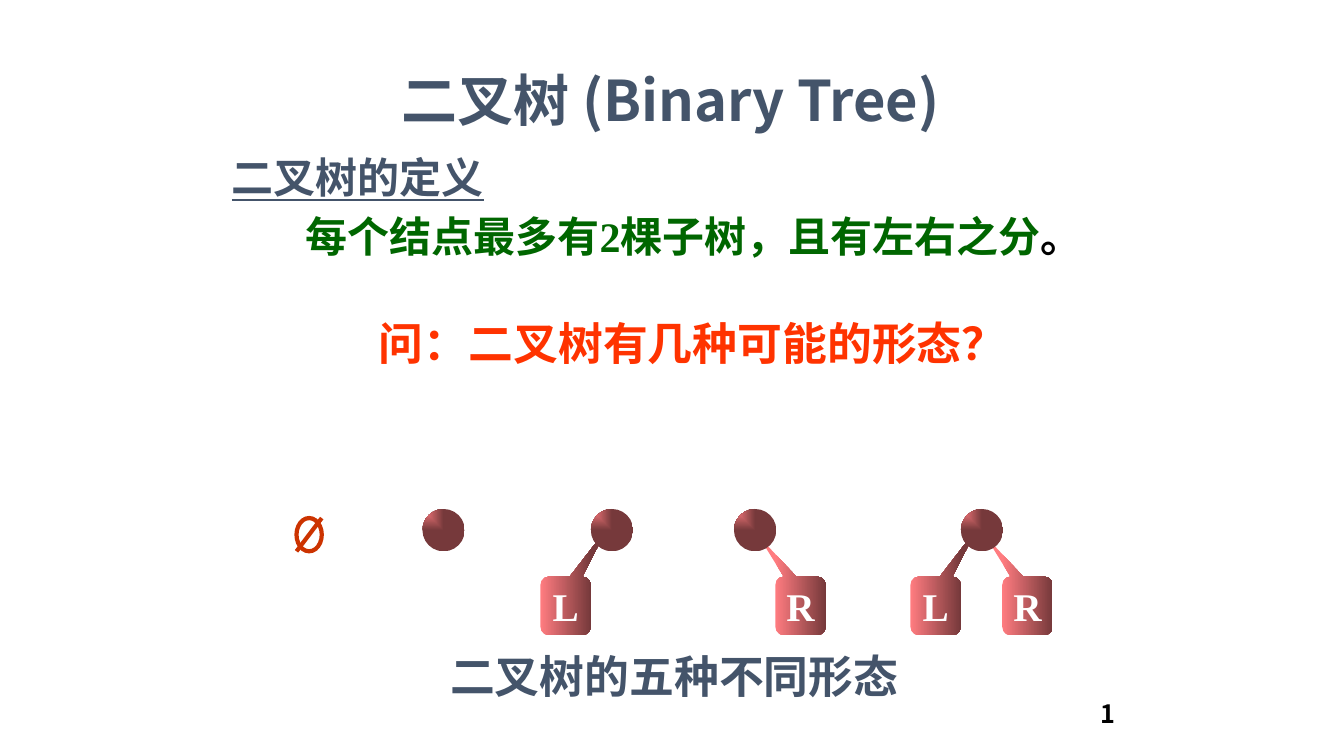
"""Build the slide that defines a binary tree and shows its five forms."""
import dataclasses
import typing

import lxml.etree
import pptx
import pptx.dml.color
import pptx.enum.shapes
import pptx.enum.text
import pptx.oxml.ns
import pptx.util

KIND = pptx.enum.shapes.MSO_SHAPE
ALIGN = pptx.enum.text.PP_ALIGN
ANCHOR = pptx.enum.text.MSO_ANCHOR
FIT = pptx.enum.text.MSO_AUTO_SIZE
qn = pptx.oxml.ns.qn


@dataclasses.dataclass(frozen=True)
class Theme:
    """Fonts, colours and type sizes of the slide."""
    sans: str = "Noto Sans CJK JP"
    serif: str = "Times New Roman"
    plain: str = "Arial"
    slate: str = "44546A"
    green: str = "006600"
    red: str = "FF3300"
    rust: str = "CC3300"
    black: str = "000000"
    white: str = "FFFFFF"
    light: str = "FF7C80"
    dark: str = "76393B"
    head: int = 40
    large: int = 32
    body: int = 30
    label: int = 28
    small: int = 18


@dataclasses.dataclass(frozen=True)
class Box:
    """A place on the slide in percent of its width and height."""
    x: float
    y: float
    w: float
    h: float


class Note(typing.NamedTuple):
    """A free line of text."""
    text: str
    box: Box
    size: int
    font: str
    color: str
    align: typing.Any
    anchor: typing.Any


class Child(typing.NamedTuple):
    """A subtree label: shift from its node and callout tip."""
    text: str
    dx: float
    tip: tuple[float, float]


class Form(typing.NamedTuple):
    """A tree form: left side of its node and its subtrees."""
    x: float
    kids: tuple[Child, ...]


T = Theme()
WIDE, HIGH = pptx.util.Inches(13.33), pptx.util.Inches(7.5)
TITLE = Box(15.75, 6.4, 67.52, 14.67)
BODY = Box(14.25, 20.13, 71.49, 37.33)
EMPTY = Box(22.06, 68.53, 1.88, 4.4)
NODE_Y, NODE_W, NODE_H = 67.33, 3.15, 5.6
KID_Y, KID_W, KID_H = 76.27, 3.75, 7.73

LEFT = Child("L", -3.75, (0.82, -1.32))
RIGHT = Child("R", 3.08, (-0.83, -1.19))
FORMS = (
    Form(31.43, ()),
    Form(43.96, (LEFT,)),
    Form(54.61, (RIGHT,)),
    Form(71.49, (LEFT, RIGHT)),
)
NOTES = (
    Note("问：二叉树有几种可能的形态？", Box(27.46, 41.07, 50.86, 8.53),
         T.large, T.plain, T.red, ALIGN.LEFT, ANCHOR.TOP),
    Note("二叉树的五种不同形态", Box(23.93, 85.2, 52.51, 8.53),
         T.large, T.serif, T.slate, ALIGN.CENTER, ANCHOR.TOP),
    Note("1", Box(66.24, 90.4, 17.48, 6.67),
         T.small, T.sans, T.black, ALIGN.RIGHT, ANCHOR.BOTTOM),
)


def rgb(code: str) -> pptx.dml.color.RGBColor:
    """Turn a hex code into a colour."""
    return pptx.dml.color.RGBColor.from_string(code)


def place(box: Box) -> tuple[int, int, int, int]:
    """Turn a box into slide lengths."""
    return (round(box.x * WIDE / 100), round(box.y * HIGH / 100),
            round(box.w * WIDE / 100), round(box.h * HIGH / 100))


def style(run: typing.Any, size: int, font: str, color: str) -> None:
    """Format one bold run."""
    run.font.size = pptx.util.Pt(size)
    run.font.bold = True
    run.font.color.rgb = rgb(color)
    run.font.name = font
    east = lxml.etree.SubElement(run.font._element, qn("a:ea"))
    east.set("typeface", T.sans)


def indent(para: typing.Any, left: float, first: float) -> None:
    """Set indents in inches and switch the bullet off."""
    props = para._p.get_or_add_pPr()
    props.set("marL", str(pptx.util.Inches(left)))
    props.set("indent", str(pptx.util.Inches(first)))
    lxml.etree.SubElement(props, qn("a:buNone"))
    para.line_spacing = 0.9


def move(holder: typing.Any, box: Box) -> typing.Any:
    """Move a placeholder and return its text frame."""
    holder.left, holder.top, holder.width, holder.height = place(box)
    holder.text_frame.auto_size = FIT.NONE
    return holder.text_frame


def write(slide: typing.Any) -> None:
    """Fill the title and body placeholders."""
    frame = move(slide.shapes.title, TITLE)
    frame.text = "二叉树 (Binary Tree)"
    frame.vertical_anchor = ANCHOR.MIDDLE
    para = frame.paragraphs[0]
    indent(para, 0.1, 0)
    para.alignment = ALIGN.CENTER
    style(para.runs[0], T.head, T.sans, T.slate)

    frame = move(slide.placeholders[1], BODY)
    frame.text = "\t二叉树的定义\n每个结点最多有2棵子树，且有左右之分"
    top, rule = frame.paragraphs
    indent(top, 0.3, -0.3)
    top.space_before = pptx.util.Pt(0)
    indent(rule, 1.03, 0)
    rule.space_before = pptx.util.Pt(10)
    style(top.runs[0], T.body, T.serif, T.slate)
    top.runs[0].font.underline = True
    stop = rule.add_run()
    stop.text = "。"
    for run, color in zip(rule.runs, (T.green, T.black)):
        style(run, T.body, T.serif, color)


def jot(slide: typing.Any, note: Note) -> None:
    """Add a free line of text."""
    frame = slide.shapes.add_textbox(*place(note.box)).text_frame
    frame.word_wrap = True
    frame.vertical_anchor = note.anchor
    frame.text = note.text
    frame.paragraphs[0].alignment = note.align
    style(frame.paragraphs[0].runs[0], note.size, note.font, note.color)


def shade(slide: typing.Any, kind: typing.Any, box: Box) -> typing.Any:
    """Add a preset shape with the light to dark blend."""
    shape = slide.shapes.add_shape(kind, *place(box))
    shape.shadow.inherit = False
    shape.line.fill.background()
    shape.fill.gradient()
    shape.fill.gradient_angle = 0
    for stop, color, spot in zip(shape.fill.gradient_stops,
                                 (T.light, T.dark), (0, 1)):
        stop.color.rgb, stop.position = rgb(color), spot
    return shape


def hang(slide: typing.Any, form: Form, kid: Child) -> None:
    """Add a subtree callout pointing at its node."""
    shape = shade(slide, KIND.ROUNDED_RECTANGULAR_CALLOUT,
                  Box(form.x + kid.dx, KID_Y, KID_W, KID_H))
    shape.adjustments[0], shape.adjustments[1] = kid.tip
    frame = shape.text_frame
    frame.margin_left = frame.margin_right = 0
    frame.margin_top = frame.margin_bottom = 0
    frame.word_wrap = False
    frame.vertical_anchor = ANCHOR.MIDDLE
    frame.text = kid.text
    frame.paragraphs[0].alignment = ALIGN.CENTER
    style(frame.paragraphs[0].runs[0], T.label, T.serif, T.white)


def grow(slide: typing.Any, form: Form) -> None:
    """Draw one tree form, its node in front."""
    for kid in form.kids:
        hang(slide, form, kid)
    node = shade(slide, KIND.OVAL, Box(form.x, NODE_Y, NODE_W, NODE_H))
    blend = node._element.spPr.find(qn("a:gradFill"))
    blend.remove(blend.find(qn("a:lin")))
    glow = lxml.etree.SubElement(blend, qn("a:path"), {"path": "rect"})
    lxml.etree.SubElement(glow, qn("a:fillToRect"), {"r": "100000", "b": "100000"})


def void(slide: typing.Any) -> None:
    """Draw the empty tree sign."""
    x, y, w, h = place(EMPTY)
    ring = slide.shapes.add_shape(KIND.OVAL, x, y, w, h)
    ring.shadow.inherit = False
    ring.fill.background()
    slash = slide.shapes.add_connector(
        pptx.enum.shapes.MSO_CONNECTOR.STRAIGHT, x + w, y, x, y + h)
    lxml.etree.SubElement(slash._element.spPr, qn("a:effectLst"))
    for part in (ring, slash):
        part.line.color.rgb = rgb(T.rust)
        part.line.width = pptx.util.Pt(3)


def main() -> None:
    """Build and save the slide."""
    deck = pptx.Presentation()
    deck.slide_width, deck.slide_height = WIDE, HIGH
    slide = deck.slides.add_slide(deck.slide_layouts[1])
    write(slide)
    void(slide)
    for form in FORMS:
        grow(slide, form)
    for note in NOTES:
        jot(slide, note)
    deck.save("out.pptx")


if __name__ == "__main__":
    main()
